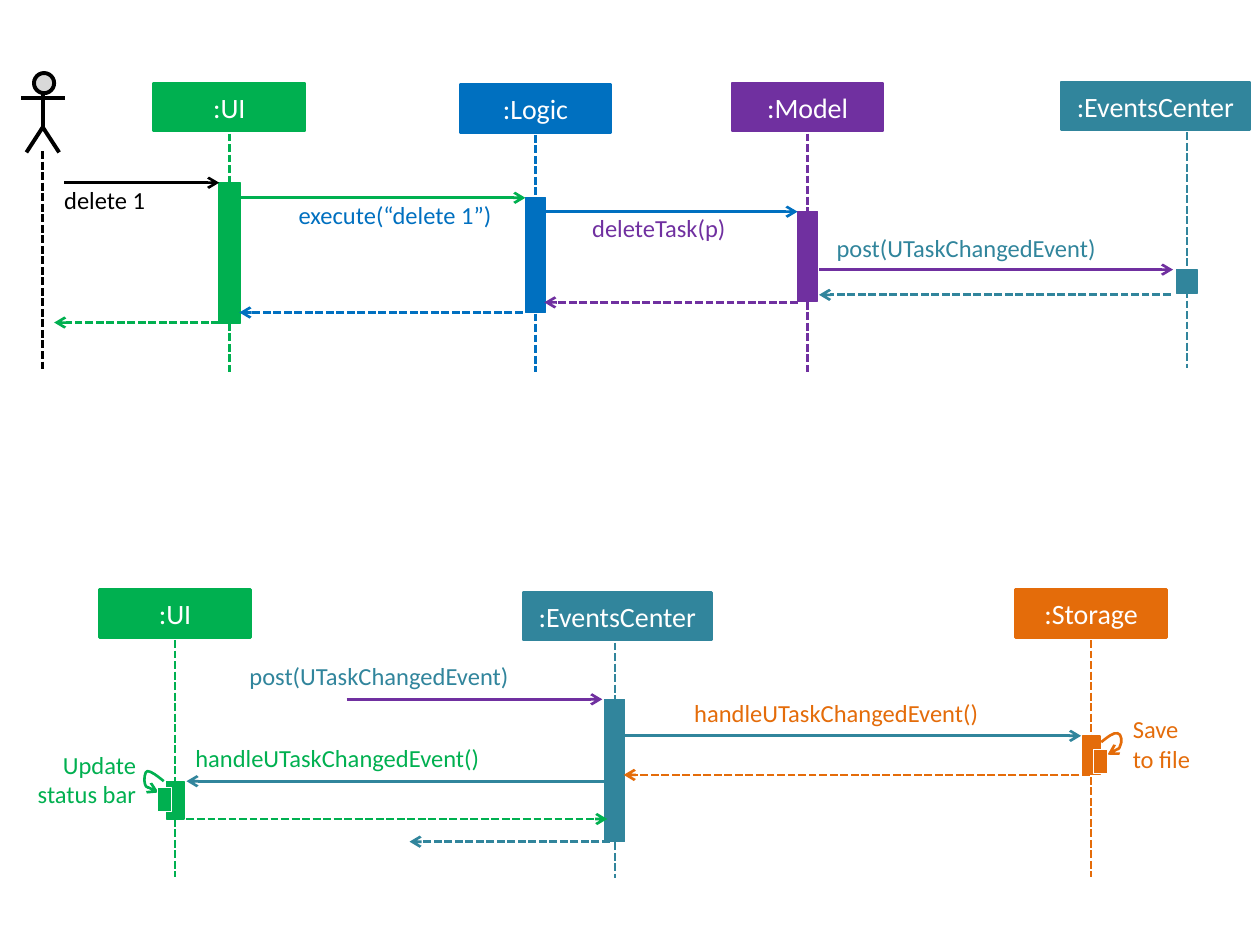
from dataclasses import dataclass

from lxml.etree import SubElement
from pptx import Presentation
from pptx.dml.color import RGBColor
from pptx.enum.dml import MSO_LINE
from pptx.enum.shapes import MSO_CONNECTOR, MSO_SHAPE
from pptx.enum.text import MSO_ANCHOR, MSO_AUTO_SIZE, PP_ALIGN
from pptx.oxml.ns import qn
from pptx.util import Cm, Pt

BLACK, WHITE, GRAY = "000000", "FFFFFF", "D9D9D9"
GREEN, BLUE, PURPLE = "00B050", "0070C0", "7030A0"
TEAL, ORANGE = "31859C", "E46C0A"
FONT = "Calibri"


@dataclass
class Participant:
    name: str
    color: str
    left: float
    top: float
    width: float
    axis: float
    bottom: float
    bar_width: float
    bar_top: float
    bar_height: float


@dataclass
class Message:
    color: str
    start: float
    end: float
    y: float
    dashed: bool = False


@dataclass
class Label:
    text: str
    color: str
    left: float
    top: float
    width: float
    height: float = 0.24
    align: PP_ALIGN = PP_ALIGN.LEFT


@dataclass
class SelfCall:
    color: str
    bar_left: float
    bar_top: float
    curve: list[tuple[float, float]]


PARTICIPANTS = [
    Participant(":UI", GREEN, 1.22, 0.66, 1.2, 1.82, 2.95, 0.17, 1.45, 1.12),
    Participant(":Logic", BLUE, 3.65, 0.67, 1.2, 4.25, 2.95, 0.16, 1.57, 0.91),
    Participant(":Model", PURPLE, 5.81, 0.66, 1.2, 6.41, 2.95, 0.16, 1.68, 0.71),
    Participant(":EventsCenter", TEAL, 8.42, 0.65, 1.5, 9.42, 2.92, 0.16, 2.14, 0.19),
    Participant(":UI", GREEN, 0.79, 4.68, 1.2, 1.39, 6.96, 0.14, 6.2, 0.3),
    Participant(":EventsCenter", TEAL, 4.15, 4.7, 1.5, 4.88, 6.97, 0.16, 5.55, 1.13),
    Participant(":Storage", ORANGE, 8.06, 4.68, 1.2, 8.66, 6.96, 0.14, 5.84, 0.31),
]
MESSAGES = [
    Message(BLACK, 0.51, 1.74, 1.45),
    Message(GREEN, 1.9, 4.17, 1.57),
    Message(BLUE, 4.32, 6.33, 1.68),
    Message(PURPLE, 6.5, 9.31, 2.14),
    Message(TEAL, 9.29, 6.5, 2.34, True),
    Message(PURPLE, 6.33, 4.32, 2.4, True),
    Message(BLUE, 4.15, 1.9, 2.48, True),
    Message(GREEN, 1.74, 0.43, 2.56, True),
    Message(PURPLE, 2.75, 4.78, 5.55),
    Message(TEAL, 4.95, 8.58, 5.84),
    Message(ORANGE, 8.65, 4.95, 6.15, True),
    Message(TEAL, 4.82, 1.48, 6.2),
    Message(GREEN, 1.48, 4.82, 6.5, True),
    Message(TEAL, 4.84, 3.25, 6.68, True),
]
LABELS = [
    Label("delete 1", BLACK, 0.51, 1.47, 0.94),
    Label("execute(“delete 1”)", BLUE, 2.37, 1.59, 1.56),
    Label("deleteTask(p)", PURPLE, 4.7, 1.69, 1.56),
    Label("post(UTaskChangedEvent)", TEAL, 6.64, 1.85, 2.67),
    Label("post(UTaskChangedEvent)", TEAL, 1.98, 5.25, 2.97),
    Label("handleUTaskChangedEvent()", ORANGE, 5.51, 5.54, 2.91),
    Label("handleUTaskChangedEvent()", GREEN, 1.55, 5.9, 2.91),
    Label("Update status bar", GREEN, 0.21, 5.95, 0.87, 0.47, PP_ALIGN.RIGHT),
    Label("Save\vto file", ORANGE, 8.99, 5.67, 0.59, 0.47),
]
SELF_CALLS = [
    SelfCall(GREEN, 1.25, 6.25, [(1.26, 6.29), (1.21, 6.27), (1.16, 6.25), (1.15, 6.22),
                                 (1.14, 6.19), (1.15, 6.12), (1.17, 6.12),
                                 (1.2, 6.12), (1.25, 6.16), (1.3, 6.2)]),
    SelfCall(ORANGE, 8.68, 5.95, [(8.79, 5.99), (8.83, 5.97), (8.88, 5.95), (8.89, 5.92),
                                  (8.91, 5.89), (8.9, 5.82), (8.87, 5.82),
                                  (8.84, 5.81), (8.79, 5.85), (8.74, 5.89)]),
]


def inch(value: float) -> Cm:
    """Convert inches to a length."""
    return Cm(value * 2.54)


def rgb(color: str) -> RGBColor:
    """Turn a hex string into a colour."""
    return RGBColor.from_string(color)


def style_line(shape, color: str, weight: float) -> None:
    """Set the line colour and width."""
    shape.line.color.rgb = rgb(color)
    shape.line.width = Pt(weight)


def add_arrowhead(shape, end: str) -> None:
    """Put an open arrowhead on one end of a line."""
    SubElement(shape.line._get_or_add_ln(), qn(f"a:{end}"), type="arrow")


def add_box(shapes, kind: MSO_SHAPE, left: float, top: float, width: float, height: float,
            fill: str, outline: str, weight: float):
    """Add a filled preset shape."""
    box = shapes.add_shape(kind, inch(left), inch(top), inch(width), inch(height))
    box.shadow.inherit = False
    box.fill.solid()
    box.fill.fore_color.rgb = rgb(fill)
    style_line(box, outline, weight)
    return box


def add_line(shapes, x1: float, y1: float, x2: float, y2: float, color: str,
             weight: float = 1.5, dashed: bool = False):
    """Add a straight line without a shadow."""
    line = shapes.add_connector(MSO_CONNECTOR.STRAIGHT, inch(x1), inch(y1), inch(x2), inch(y2))
    style_line(line, color, weight)
    if dashed:
        line.line.dash_style = MSO_LINE.SQUARE_DOT
    SubElement(line._element.spPr, qn("a:effectLst"))
    return line


def add_outline(shapes, points: list[tuple[float, float]], color: str, weight: float):
    """Add an open, unfilled path through the points."""
    scaled = [(inch(x), inch(y)) for x, y in points]
    builder = shapes.build_freeform(*scaled[0])
    builder.add_line_segments(scaled[1:], close=False)
    outline = builder.convert_to_shape()
    outline.shadow.inherit = False
    outline.fill.background()
    style_line(outline, color, weight)
    return outline


def format_text(frame, size: int, color: str, align: PP_ALIGN) -> None:
    """Format every run of a text frame."""
    for para in frame.paragraphs:
        para.alignment = align
        for span in para.runs:
            span.font.name, span.font.size = FONT, Pt(size)
            span.font.color.rgb = rgb(color)


def draw_participant(shapes, item: Participant) -> None:
    """Draw a header, its lifeline and its activation bar."""
    header = add_box(shapes, MSO_SHAPE.RECTANGLE, item.left, item.top, item.width, 0.38,
                     item.color, item.color, 1.5)
    header.text_frame.text = item.name
    header.text_frame.vertical_anchor = MSO_ANCHOR.MIDDLE
    format_text(header.text_frame, 16, WHITE, PP_ALIGN.CENTER)
    add_line(shapes, item.axis, item.top + 0.4, item.axis, item.bottom, item.color, dashed=True)
    add_box(shapes, MSO_SHAPE.RECTANGLE, item.axis - item.bar_width / 2, item.bar_top,
            item.bar_width, item.bar_height, item.color, item.color, 0.75)


def draw_label(shapes, item: Label) -> None:
    """Draw a text label without margins."""
    box = shapes.add_textbox(inch(item.left), inch(item.top), inch(item.width), inch(item.height))
    frame = box.text_frame
    frame.word_wrap = True
    frame.auto_size = MSO_AUTO_SIZE.SHAPE_TO_FIT_TEXT
    frame.margin_left = frame.margin_right = frame.margin_top = frame.margin_bottom = 0
    frame.text = item.text
    format_text(frame, 14, item.color, item.align)


def draw_self_call(shapes, item: SelfCall) -> None:
    """Draw a curved arrow that leads to a nested activation bar."""
    group = shapes.add_group_shape().shapes
    curve = add_outline(group, item.curve, item.color, 1.5)
    outline = curve._element.find(".//" + qn("a:moveTo")).getparent()
    segments = outline.findall(qn("a:lnTo"))
    for index in range(0, len(segments), 3):
        bezier = SubElement(outline, qn("a:cubicBezTo"))
        for segment in segments[index:index + 3]:
            bezier.append(segment[0])
            outline.remove(segment)
    add_arrowhead(curve, "headEnd")
    add_box(group, MSO_SHAPE.RECTANGLE, item.bar_left, item.bar_top, 0.11, 0.19,
            item.color, WHITE, 0.75)


def draw_actor(shapes) -> None:
    """Draw the stick figure and its lifeline."""
    figure = shapes.add_group_shape().shapes
    add_box(figure, MSO_SHAPE.FLOWCHART_CONNECTOR, 0.27, 0.58, 0.16, 0.16, GRAY, BLACK, 2.25)
    add_line(figure, 0.34, 0.74, 0.34, 1.02, BLACK, 2.25)
    add_outline(figure, [(0.21, 1.21), (0.34, 1.01), (0.47, 1.21)], BLACK, 2.25)
    add_line(figure, 0.17, 0.78, 0.52, 0.78, BLACK, 2.25)
    add_line(shapes, 0.34, 1.2, 0.34, 2.95, BLACK, dashed=True)


deck = Presentation()
deck.slide_width, deck.slide_height = inch(10), inch(7.5)
page = deck.slides.add_slide(deck.slide_layouts[6])
draw_actor(page.shapes)
for participant in PARTICIPANTS:
    draw_participant(page.shapes, participant)
for message in MESSAGES:
    arrow = add_line(page.shapes, message.start, message.y, message.end, message.y,
                     message.color, dashed=message.dashed)
    add_arrowhead(arrow, "tailEnd")
for label in LABELS:
    draw_label(page.shapes, label)
for self_call in SELF_CALLS:
    draw_self_call(page.shapes, self_call)
deck.save("out.pptx")
